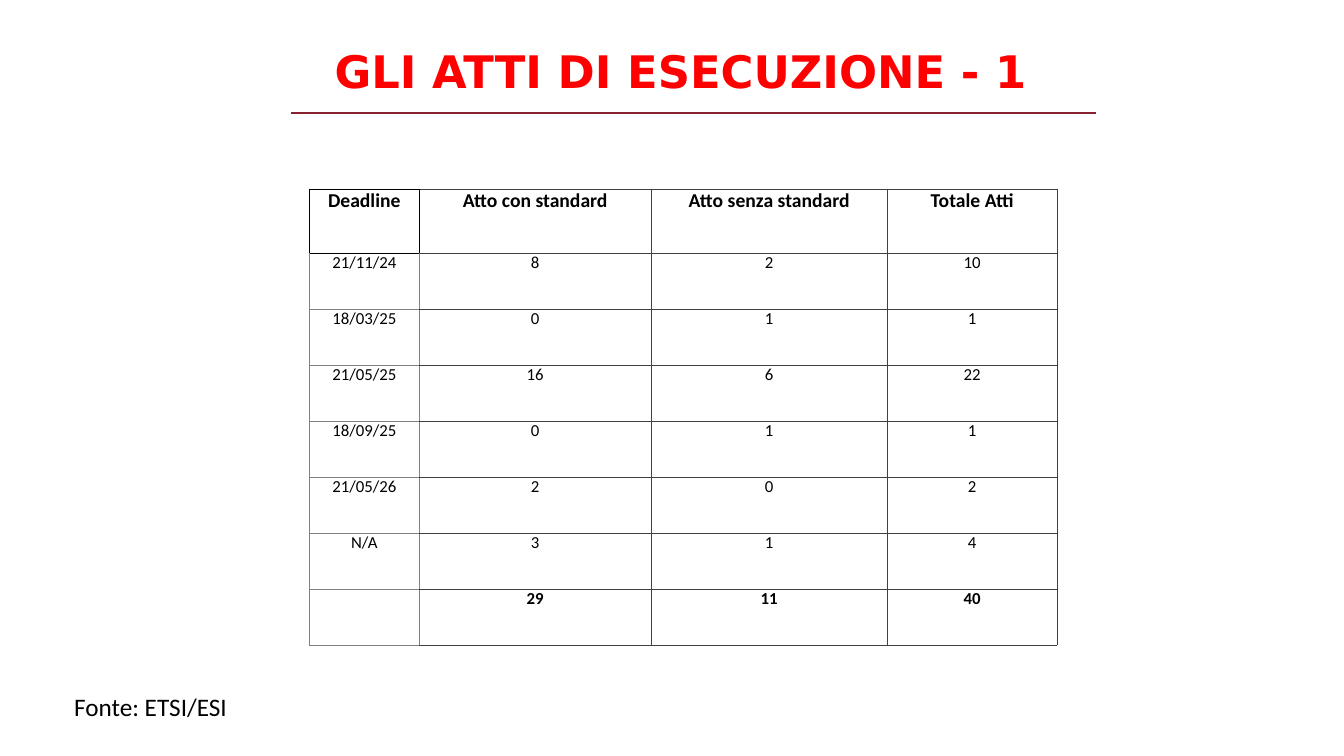
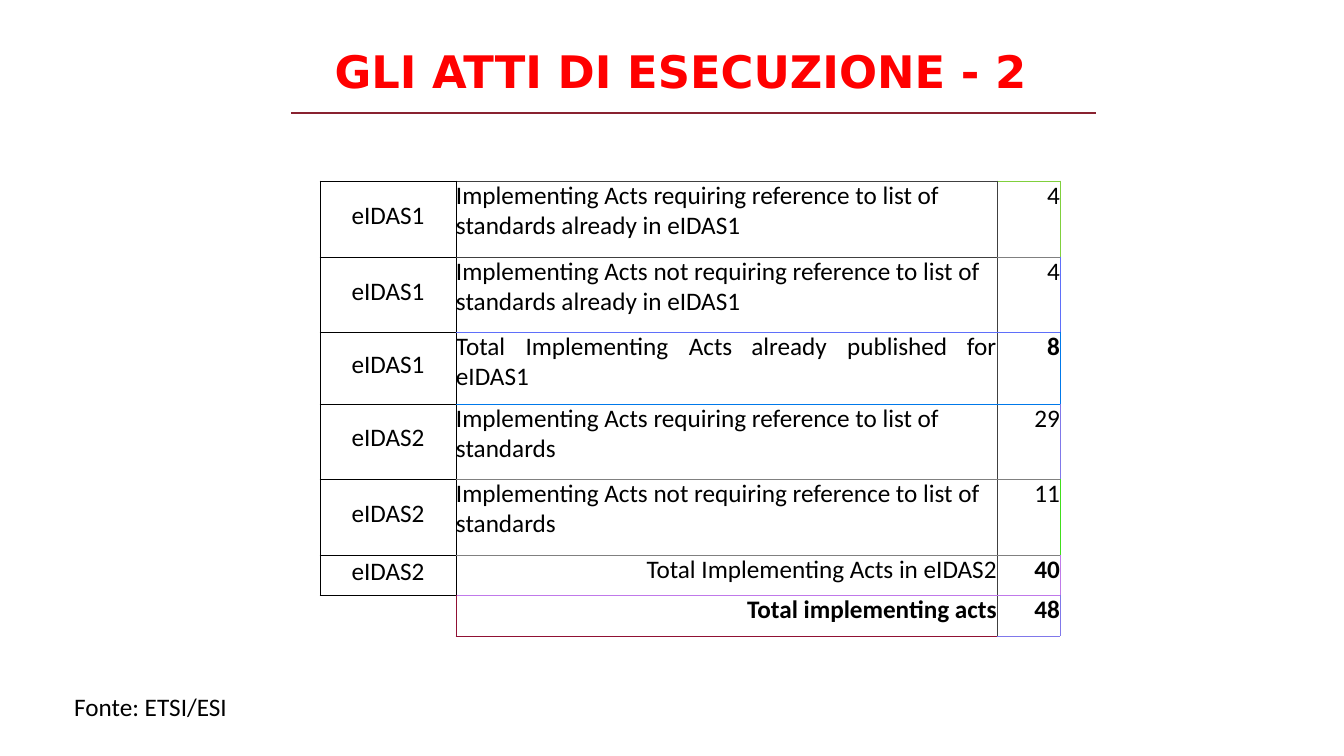
"""Build two slides on the implementing acts, each with a titled table."""
from dataclasses import dataclass
from typing import Optional, Sequence, Union

from lxml.etree import SubElement
from pptx import Presentation
from pptx.dml.color import RGBColor
from pptx.enum.shapes import MSO_CONNECTOR as Conn
from pptx.enum.text import MSO_ANCHOR as Anchor, PP_ALIGN as Align
from pptx.oxml.ns import qn
from pptx.presentation import Presentation as Deck
from pptx.slide import Slide
from pptx.table import _Cell as Cell
from pptx.text.text import TextFrame
from pptx.util import Pt

BLACK = RGBColor(0x00, 0x00, 0x00)
DARK = RGBColor(0x40, 0x40, 0x40)
GREY = RGBColor(0x80, 0x80, 0x80)
RED = RGBColor(0xFF, 0x00, 0x00)
WINE = RGBColor(0x89, 0x22, 0x30)
CRIMSON = RGBColor(0x90, 0x11, 0x34)
LIME = RGBColor(0x80, 0xD0, 0x3D)
GREEN = RGBColor(0x40, 0xDE, 0x1B)
INDIGO = RGBColor(0x5F, 0x6F, 0xFA)
BLUE = RGBColor(0x00, 0x79, 0xEA)
VIOLET = RGBColor(0x80, 0x78, 0xEA)
PURPLE = RGBColor(0xC0, 0x79, 0xEA)

BODY_FONT = "Calibri"
TITLE_FONT = "DejaVu Sans"
TITLE = "GLI ATTI DI ESECUZIONE - "
SOURCE = "Fonte: ETSI/ESI"
TAB_STOPS = (49.7, 166.3, 211, 279.4, 365)

Color = Optional[RGBColor]
Lines = Sequence[Sequence[Color]]


@dataclass(frozen=True)
class Entry:
    """Text of one table cell and its format."""
    text: str
    size: float = 18
    bold: bool = False
    align: Align = Align.CENTER
    line: Optional[float] = None
    top: float = 0
    tabs: Sequence[float] = ()


@dataclass(frozen=True)
class Grid:
    """Place, tracks, entries and rule colours of a table."""
    left: float
    top: float
    cols: Sequence[float]
    rows: Sequence[float]
    entries: Sequence[Sequence[Entry]]
    across: Lines
    down: Lines


def write(tf: TextFrame, text: str, *, size: float = 18, font: str = BODY_FONT,
          color: RGBColor = BLACK, bold: bool = False, align: Align = Align.LEFT,
          line: Optional[float] = None, tabs: Sequence[float] = ()) -> None:
    """Write one formatted paragraph into a text frame."""
    p = tf.paragraphs[0]
    p.alignment = align
    p.space_before = Pt(0)
    p.line_spacing = Pt(line) if line else 1.0
    if tabs:
        stops = SubElement(p._p.get_or_add_pPr(), qn("a:tabLst"))
        for pos in tabs:
            SubElement(stops, qn("a:tab"), pos=str(Pt(pos)), algn="l")
    r = p.add_run()
    r.text = text
    r.font.name, r.font.size, r.font.bold = font, Pt(size), bold
    r.font.color.rgb = color


def set_insets(box: Union[TextFrame, Cell], left: float = 0, top: float = 0) -> None:
    """Set the left and top insets and clear the others."""
    box.margin_left, box.margin_top = Pt(left), Pt(top)
    box.margin_right = box.margin_bottom = Pt(0)
    box.vertical_anchor = Anchor.TOP


def set_border(cell: Cell, **sides: Color) -> None:
    """Draw the sides L, R, T and B of a cell, or leave out those without colour."""
    tc_pr = cell._tc.get_or_add_tcPr()
    for side in "LRTB":
        ln = SubElement(tc_pr, qn(f"a:ln{side}"), w=str(Pt(0.5)))
        color = sides[side]
        if color is None:
            SubElement(ln, qn("a:noFill"))
        else:
            fill = SubElement(ln, qn("a:solidFill"))
            SubElement(fill, qn("a:srgbClr"), val=str(color))


def add_grid(s: Slide, grid: Grid) -> None:
    """Add a table with its own rule colours."""
    table = s.shapes.add_table(
        len(grid.rows), len(grid.cols), Pt(grid.left), Pt(grid.top),
        Pt(sum(grid.cols)), Pt(sum(grid.rows))).table
    table.first_row = table.horz_banding = False
    for col, width in zip(table.columns, grid.cols):
        col.width = Pt(width)
    for i, (height, entries) in enumerate(zip(grid.rows, grid.entries)):
        table.rows[i].height = Pt(height)
        for j, e in enumerate(entries):
            cell = table.cell(i, j)
            set_insets(cell, top=e.top)
            set_border(cell, L=grid.down[i][j], R=grid.down[i][j + 1],
                       T=grid.across[i][j], B=grid.across[i + 1][j])
            cell.fill.background()
            if e.text:
                write(cell.text_frame, e.text, size=e.size, bold=e.bold,
                      align=e.align, line=e.line, tabs=e.tabs)


def add_slide(prs: Deck, number: int, grid: Grid) -> None:
    """Add a slide with title, rule, table and source."""
    s = prs.slides.add_slide(prs.slide_layouts[5])
    title = s.shapes.title
    title.left, title.top, title.width, title.height = Pt(167), Pt(10.8), Pt(687), Pt(69)
    set_insets(title.text_frame, left=72, top=20.5)
    write(title.text_frame, f"{TITLE}{number}", size=32, font=TITLE_FONT,
          color=RED, bold=True)

    rule = s.shapes.add_connector(Conn.STRAIGHT, Pt(208), Pt(80.7), Pt(783), Pt(80.7))
    rule.line.color.rgb = WINE
    rule.line.width = Pt(1.5)
    SubElement(rule._element.spPr, qn("a:effectLst"))

    add_grid(s, grid)

    tf = s.shapes.add_textbox(Pt(52), Pt(492.5), Pt(130), Pt(24)).text_frame
    tf.word_wrap = True
    set_insets(tf, left=1, top=1.5)
    write(tf, SOURCE)


def deadline_grid() -> Grid:
    """Return the table of acts by deadline."""
    heads = ("Deadline", "Atto con standard", "Atto senza standard", "Totale Atti")
    counts = (
        ("21/11/24", "8", "2", "10"),
        ("18/03/25", "0", "1", "1"),
        ("21/05/25", "16", "6", "22"),
        ("18/09/25", "0", "1", "1"),
        ("21/05/26", "2", "0", "2"),
        ("N/A", "3", "1", "4"),
    )
    totals = ("", "29", "11", "40")
    entries = [[Entry(t, 14, True, line=16.6) for t in heads]]
    entries += [[Entry(t, 12, line=14.3) for t in row] for row in counts]
    entries.append([Entry(t, 12, True) for t in totals])
    n = len(entries)
    return Grid(
        221, 135, (78.5, 165.7, 168.6, 121.4), (45.7,) + (40,) * (n - 1), entries,
        across=[(BLACK if i < 2 else GREY, DARK, DARK, DARK) for i in range(n + 1)],
        down=[(BLACK if i == 0 else GREY,) * 2 + (DARK,) * 3 for i in range(n)])


def summary_grid() -> Grid:
    """Return the table of acts by regulation."""
    acts = (
        ("eIDAS1", "Implementing Acts requiring reference to list of "
                   "standards already in eIDAS1", "4"),
        ("eIDAS1", "Implementing Acts not requiring reference to list of "
                   "standards already in eIDAS1", "4"),
        ("eIDAS1", "Total\tImplementing\tActs\talready\tpublished\tfor eIDAS1", "8"),
        ("eIDAS2", "Implementing Acts requiring reference to list of standards", "29"),
        ("eIDAS2", "Implementing Acts not requiring reference to list of standards", "11"),
        ("eIDAS2", "Total Implementing Acts in eIDAS2", "40"),
        ("", "Total implementing acts", "48"),
    )
    heights = (54.3, 53.6, 51.4, 53.6, 54.3, 29, 29)
    entries = []
    for i, (law, act, count) in enumerate(acts):
        is_sum = i >= 5
        entries.append((
            Entry(law, top=1.2 if is_sum else (heights[i] - 26.4) / 2),
            Entry(act, bold=i == 6, align=Align.RIGHT if is_sum else Align.LEFT,
                  line=21.5, tabs=TAB_STOPS if "\t" in act else ()),
            Entry(count, bold=act.startswith("Total"), align=Align.RIGHT, line=21.4),
        ))
    act_rules = (DARK, DARK, INDIGO, BLUE, GREY, GREY, PURPLE, CRIMSON)
    count_rules = (LIME, GREY, INDIGO, BLUE, GREY, GREY, PURPLE, VIOLET)
    right_rules = (LIME, INDIGO, BLUE, VIOLET, GREEN, PURPLE, VIOLET)
    law_rules = (BLACK,) * 7 + (None,)
    down = [(BLACK, BLACK, DARK, color) for color in right_rules]
    down[-1] = (None, CRIMSON, DARK, VIOLET)
    return Grid(228.6, 129.3, (97.1, 386.4, 45), heights, entries,
                across=list(zip(law_rules, act_rules, count_rules)), down=down)


def main() -> None:
    """Build and save the presentation."""
    prs = Presentation()
    prs.slide_width, prs.slide_height = Pt(960), Pt(540)
    for number, grid in enumerate((deadline_grid(), summary_grid()), 1):
        add_slide(prs, number, grid)
    prs.save("out.pptx")


if __name__ == "__main__":
    main()
